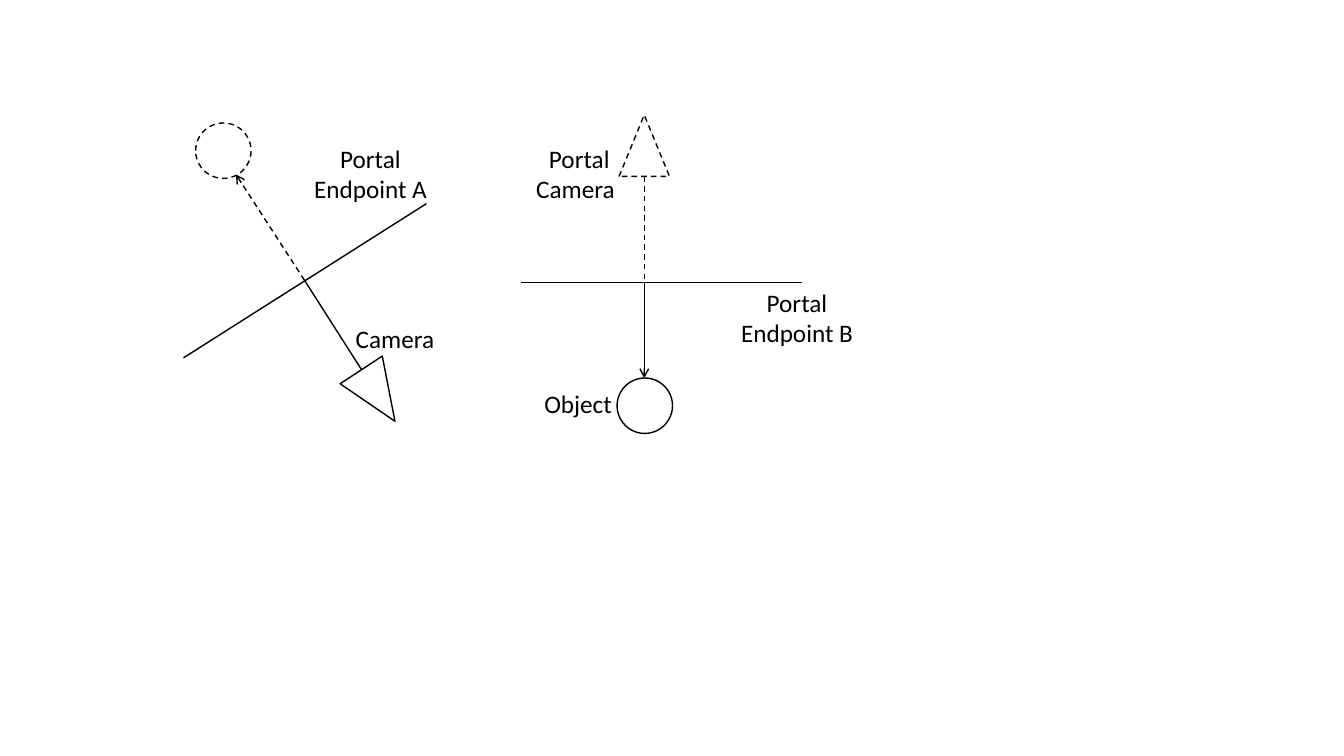
from pptx import Presentation
from pptx.dml.color import RGBColor
from pptx.enum.dml import MSO_LINE
from pptx.enum.shapes import MSO_CONNECTOR, MSO_SHAPE
from pptx.enum.text import MSO_AUTO_SIZE, PP_ALIGN
from pptx.oxml.ns import qn
from pptx.util import Inches, Pt
from lxml import etree

STRAIGHT = MSO_CONNECTOR.STRAIGHT
CIRCLE, TRIANGLE = MSO_SHAPE.OVAL, MSO_SHAPE.ISOSCELES_TRIANGLE
DASH = MSO_LINE.DASH
LEFT, CENTER = PP_ALIGN.LEFT, PP_ALIGN.CENTER
FIT = MSO_AUTO_SIZE.SHAPE_TO_FIT_TEXT

COLORS = {"ink": "000000", "paper": "FFFFFF"}
FONT, TEXT_SIZE, LINE_WIDTH = "Calibri", 18, 1

# Points where the view ray crosses each portal endpoint
CROSSING_A, CROSSING_B = (3.02, 2.78), (6.39, 2.8)
OBJECT_SIZE, CAMERA_SIZE = (0.55, 0.55), (0.5, 0.61)

# Lines: start, end, dashed, arrowhead
PORTALS = [
    ((1.82, 3.55), (4.23, 2.02), False, False),
    ((5.17, 2.8), (7.95, 2.8), False, False),
]
RAYS = [
    ((3.6, 3.69), CROSSING_A, False, False),
    (CROSSING_B, (6.39, 3.75), False, True),
    (CROSSING_A, (2.34, 1.73), True, True),
    ((6.39, 1.75), CROSSING_B, True, False),
]

# Bodies: outline, left and top, size, rotation, dashed
BODIES = [
    (TRIANGLE, (3.5, 3.62), CAMERA_SIZE, 146.7, False),
    (CIRCLE, (6.12, 3.75), OBJECT_SIZE, 0, False),
    (CIRCLE, (1.94, 1.22), OBJECT_SIZE, 0, True),
    (TRIANGLE, (6.14, 1.14), CAMERA_SIZE, 0, True),
]

# Labels: left, top, width, height, wrap, (line, alignment) pairs
LABELS = [
    (3.43, 3.16, 1.05, 0.4, True, [("Camera", LEFT)]),
    (5.22, 1.37, 1.05, 0.71, True, [("Portal", CENTER), ("Camera", LEFT)]),
    (5.3, 3.8, 0.88, 0.4, False, [("Object", LEFT)]),
    (3.01, 1.37, 1.33, 0.71, True, [("Portal", CENTER), ("Endpoint A", CENTER)]),
    (7.24, 2.8, 1.33, 0.71, True, [("Portal", CENTER), ("Endpoint B", CENTER)]),
]


def color(name):
    return RGBColor.from_string(COLORS[name])


def style_line(line, dashed):
    line.color.rgb = color("ink")
    line.width = Pt(LINE_WIDTH)
    if dashed:
        line.dash_style = DASH


def add_line(slide, start, end, dashed, arrow):
    connector = slide.shapes.add_connector(
        STRAIGHT, *(Inches(v) for v in (*start, *end)))
    style_line(connector.line, dashed)
    if arrow:
        etree.SubElement(connector.line._get_or_add_ln(), qn("a:tailEnd"), type="arrow")
    etree.SubElement(connector._element.spPr, qn("a:effectLst"))


def add_body(slide, outline, corner, size, rotation, dashed):
    body = slide.shapes.add_shape(outline, *(Inches(v) for v in (*corner, *size)))
    body.rotation = rotation
    body.shadow.inherit = False
    body.fill.solid()
    body.fill.fore_color.rgb = color("paper")
    style_line(body.line, dashed)


def add_label(slide, left, top, width, height, wrap, lines):
    label = slide.shapes.add_textbox(*(Inches(v) for v in (left, top, width, height)))
    frame = label.text_frame
    frame.word_wrap = wrap
    frame.auto_size = FIT
    frame.text = "\n".join(text for text, _ in lines)
    for paragraph, (_, alignment) in zip(frame.paragraphs, lines):
        paragraph.alignment = alignment
        font = paragraph.runs[0].font
        font.name, font.size = FONT, Pt(TEXT_SIZE)
        font.color.rgb = color("ink")


def main():
    deck = Presentation()
    deck.slide_width, deck.slide_height = Inches(13.33), Inches(7.5)
    slide = deck.slides.add_slide(deck.slide_layouts[6])

    # Portals and rays, then cameras and objects, then their labels
    for line in PORTALS + RAYS:
        add_line(slide, *line)
    for body in BODIES:
        add_body(slide, *body)
    for label in LABELS:
        add_label(slide, *label)

    deck.save("out.pptx")


if __name__ == "__main__":
    main()
